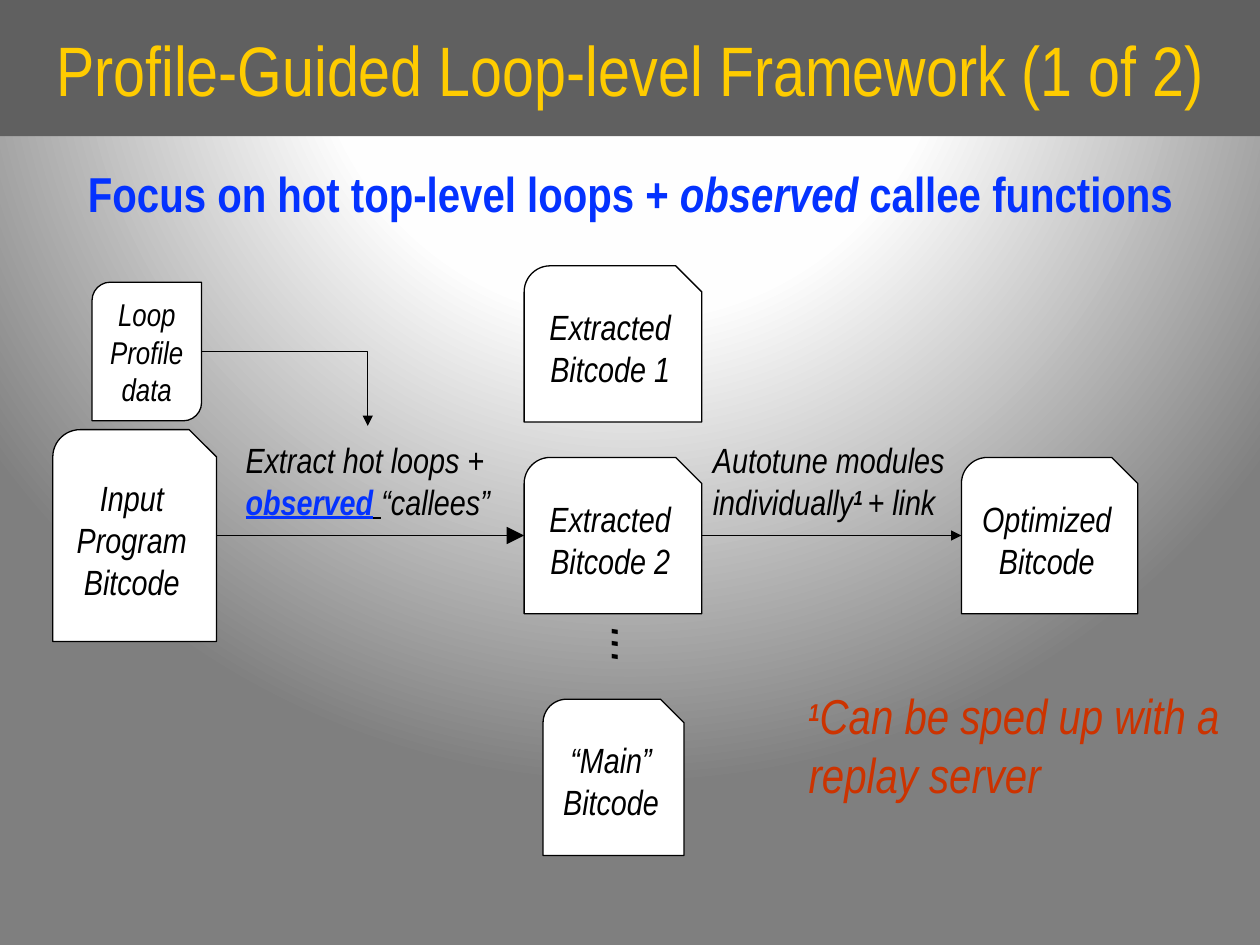
from dataclasses import dataclass

from pptx import Presentation
from pptx.dml.color import RGBColor
from pptx.enum.shapes import MSO_CONNECTOR, MSO_SHAPE
from pptx.enum.text import MSO_ANCHOR, MSO_AUTO_SIZE, PP_ALIGN
from pptx.oxml import parse_xml
from pptx.oxml.ns import nsdecls, qn
from pptx.util import Pt

STRAIGHT, ELBOW = MSO_CONNECTOR.STRAIGHT, MSO_CONNECTOR.ELBOW
SNIPPED, DIAGONAL = MSO_SHAPE.SNIP_ROUND_RECTANGLE, MSO_SHAPE.ROUND_2_DIAG_RECTANGLE
LEFT, CENTER = PP_ALIGN.LEFT, PP_ALIGN.CENTER
TOP, MIDDLE = MSO_ANCHOR.TOP, MSO_ANCHOR.MIDDLE

FONT = "Arial Narrow"
BLACK, WHITE, BLUE, RED = "000000", "FFFFFF", "0432FF", "CC3300"
YELLOW, DARK_GRAY = "FFCC00", "606060"
INSET = 7.2
LINE_WIDTH = 0.75
FLOW_Y = 306
ROW_TOP, BOX_HEIGHT = 261.4, 89.3
EXTRACTED_LEFT, EXTRACTED_WIDTH = 299.5, 101.5
OPTIMIZED_LEFT = 549.4
LABEL_TOP = 243.4


@dataclass
class Span:
    text: str
    size: float = 20
    color: str = BLACK
    bold: bool = False
    italic: bool = True
    underline: bool = False
    superscript: bool = False


@dataclass
class Box:
    left: float
    top: float
    width: float
    height: float


@dataclass
class Document:
    box: Box
    paragraphs: list[str]
    size: float = 20
    outline: MSO_SHAPE = SNIPPED
    corners: tuple[float, float] = (0.167, 0.167)


@dataclass
class Label:
    box: Box
    spans: list[Span]
    alignment: PP_ALIGN = LEFT
    rotation: float = 0


@dataclass
class Arrow:
    start: tuple[float, float]
    end: tuple[float, float]
    kind: MSO_CONNECTOR = STRAIGHT
    head_size: str = "med"


DOCUMENTS = [
    Document(Box(30.2, 245.5, 93.6, 121), ["Input", "Program Bitcode"]),
    Document(Box(52.6, 161.3, 62.6, 79.2), ["Loop Profile data"], 18, DIAGONAL, (0.167, 0)),
    Document(Box(EXTRACTED_LEFT, 151.9, EXTRACTED_WIDTH, BOX_HEIGHT), ["Extracted Bitcode 1"]),
    Document(Box(EXTRACTED_LEFT, ROW_TOP, EXTRACTED_WIDTH, BOX_HEIGHT), ["Extracted Bitcode 2"]),
    Document(Box(310.3, 399.6, 80.6, BOX_HEIGHT), ["“Main” Bitcode"]),
    Document(Box(OPTIMIZED_LEFT, ROW_TOP, 100.8, BOX_HEIGHT), ["Optimized Bitcode"]),
]
LABELS = [
    Label(Box(133.2, LABEL_TOP, 154.8, 89.3), [
        Span("Extract hot loops + "),
        Span("observed", color=BLUE, bold=True, underline=True),
        Span(" ", underline=True),
        Span("“callees”"),
    ]),
    Label(Box(348.5, 349.9, 41.8, 38.9), [Span("...", 32)], CENTER, 90),
    Label(Box(400.3, LABEL_TOP, 155.5, 64.1), [
        Span("Autotune modules individually"),
        Span("1 ", bold=True, superscript=True),
        Span("+ link"),
    ]),
    Label(Box(455, 384.5, 258.5, 74.2), [
        Span("1", 24, RED, bold=True, superscript=True),
        Span("Can be sped up with a replay server", 28, RED),
    ]),
]
ARROWS = [
    Arrow((123.8, FLOW_Y), (EXTRACTED_LEFT, FLOW_Y), head_size="lg"),
    Arrow((115.2, 200.9), (210.2, LABEL_TOP), ELBOW),
    Arrow((EXTRACTED_LEFT + EXTRACTED_WIDTH, FLOW_Y), (OPTIMIZED_LEFT, FLOW_Y)),
]


def rgb(color: str) -> RGBColor:
    return RGBColor.from_string(color)


def bounds(box: Box) -> tuple:
    return Pt(box.left), Pt(box.top), Pt(box.width), Pt(box.height)


def place(shape, box: Box) -> None:
    shape.left, shape.top, shape.width, shape.height = bounds(box)


def write(paragraph, spans: list[Span], alignment: PP_ALIGN) -> None:
    paragraph.alignment = alignment
    for span in spans:
        run = paragraph.add_run()
        run.text = span.text
        font = run.font
        font.name, font.size, font.color.rgb = FONT, Pt(span.size), rgb(span.color)
        font.bold, font.italic, font.underline = span.bold, span.italic, span.underline
        if span.superscript:
            run._r.get_or_add_rPr().set("baseline", "30000")


def set_frame(frame, anchor: MSO_ANCHOR) -> None:
    frame.word_wrap = True
    frame.auto_size = MSO_AUTO_SIZE.NONE
    frame.vertical_anchor = anchor
    frame.margin_left = frame.margin_right = Pt(INSET)
    frame.margin_top = frame.margin_bottom = Pt(INSET)


def set_background(slide) -> None:
    """Fill the slide with a radial gradient centred above its top edge."""
    slide.background.fill.solid()
    solid = slide.element.find(".//" + qn("a:solidFill"))
    stops = "".join(
        f'<a:gs pos="{position * 1000}"><a:srgbClr val="{color}"/></a:gs>'
        for position, color in [(0, WHITE), (40, "FEFEFE"), (100, "7F7F7F")]
    )
    solid.getparent().replace(solid, parse_xml(
        f'<a:gradFill {nsdecls("a")} rotWithShape="1"><a:gsLst>{stops}</a:gsLst>'
        '<a:path path="circle"><a:fillToRect l="50000" t="-80000" r="50000" b="180000"/>'
        "</a:path></a:gradFill>"
    ))


def fill_placeholders(slide) -> None:
    title, body = slide.shapes.title, slide.placeholders[1]
    place(title, Box(0, 0, 720, 77.8))
    title.fill.solid()
    title.fill.fore_color.rgb = rgb(DARK_GRAY)
    title.text_frame.auto_size = MSO_AUTO_SIZE.NONE
    title.text_frame.vertical_anchor = MIDDLE
    heading = Span("Profile-Guided Loop-level Framework (1 of 2)", 40, YELLOW, italic=False)
    write(title.text_frame.paragraphs[0], [heading], CENTER)

    place(body, Box(30.2, 90, 660, 52.6))
    body.text_frame.auto_size = MSO_AUTO_SIZE.NONE
    paragraph = body.text_frame.paragraphs[0]
    properties = paragraph._p.get_or_add_pPr()
    properties.set("marL", "0")
    properties.set("indent", "0")
    properties.append(parse_xml(f'<a:buNone {nsdecls("a")}/>'))
    paragraph.space_before = Pt(0)
    write(paragraph, [
        Span("Focus on hot top-level loops + ", 28, BLUE, bold=True, italic=False),
        Span("observed ", 28, BLUE, bold=True),
        Span("callee functions", 28, BLUE, bold=True, italic=False),
    ], CENTER)


def draw_document(slide, document: Document) -> None:
    shape = slide.shapes.add_shape(document.outline, *bounds(document.box))
    shape.shadow.inherit = False
    for index, corner in enumerate(document.corners):
        shape.adjustments[index] = corner
    shape.fill.solid()
    shape.fill.fore_color.rgb = rgb(WHITE)
    shape.line.color.rgb = rgb(BLACK)
    shape.line.width = Pt(LINE_WIDTH)
    frame = shape.text_frame
    set_frame(frame, MIDDLE)
    for index, text in enumerate(document.paragraphs):
        paragraph = frame.add_paragraph() if index else frame.paragraphs[0]
        write(paragraph, [Span(text, document.size)], CENTER)


def draw_label(slide, label: Label) -> None:
    shape = slide.shapes.add_textbox(*bounds(label.box))
    shape.rotation = label.rotation
    set_frame(shape.text_frame, TOP)
    write(shape.text_frame.paragraphs[0], label.spans, label.alignment)


def draw_arrow(slide, arrow: Arrow) -> None:
    points = [Pt(value) for value in arrow.start + arrow.end]
    connector = slide.shapes.add_connector(arrow.kind, *points)
    connector.line.color.rgb = rgb(BLACK)
    connector.line.width = Pt(LINE_WIDTH)
    size = arrow.head_size
    connector.line._get_or_add_ln().append(parse_xml(
        f'<a:tailEnd {nsdecls("a")} type="triangle" w="{size}" len="{size}"/>'))
    properties = connector._element.spPr
    properties.append(parse_xml(f'<a:effectLst {nsdecls("a")}/>'))
    if arrow.kind == ELBOW:
        properties.find(qn("a:prstGeom")).set("prst", "bentConnector2")


def main() -> None:
    presentation = Presentation()
    presentation.slide_width, presentation.slide_height = Pt(720), Pt(540)
    slide = presentation.slides.add_slide(presentation.slide_layouts[1])
    set_background(slide)
    fill_placeholders(slide)
    for document in DOCUMENTS:
        draw_document(slide, document)
    for label in LABELS:
        draw_label(slide, label)
    for arrow in ARROWS:
        draw_arrow(slide, arrow)
    presentation.save("out.pptx")


if __name__ == "__main__":
    main()
